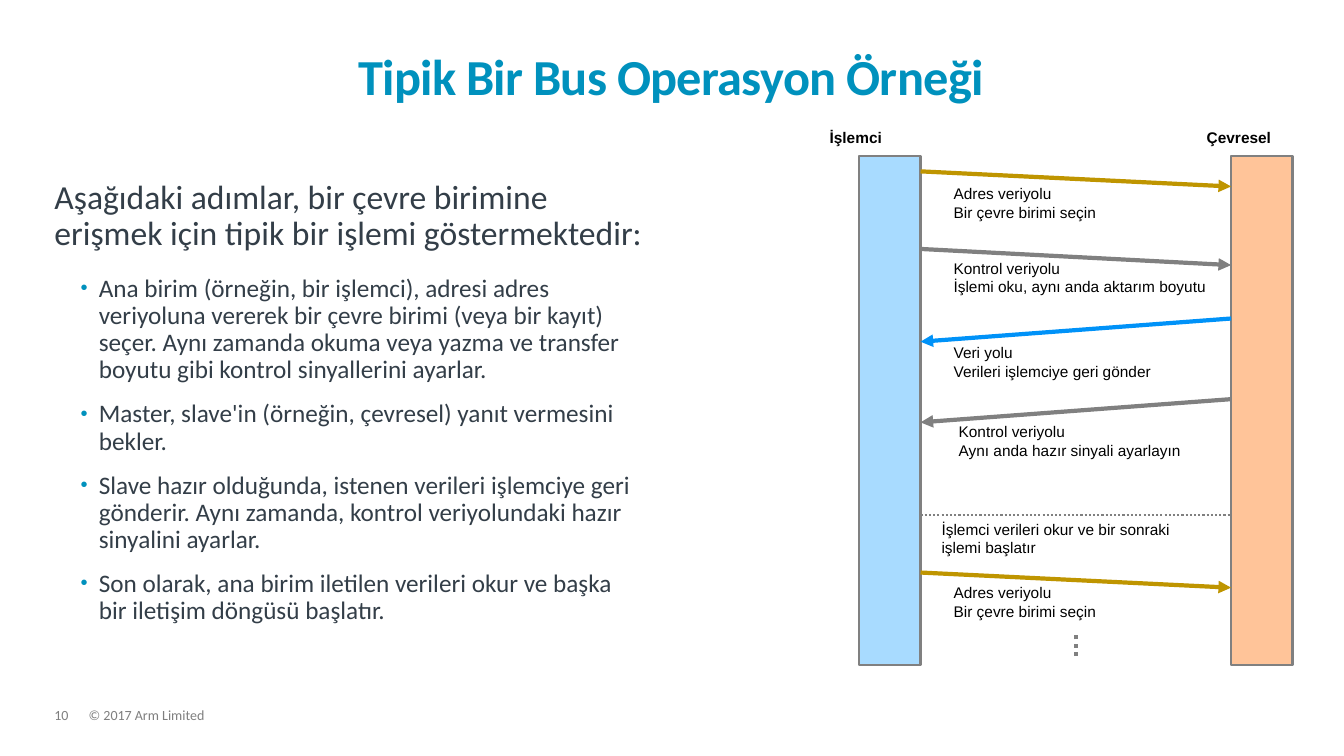
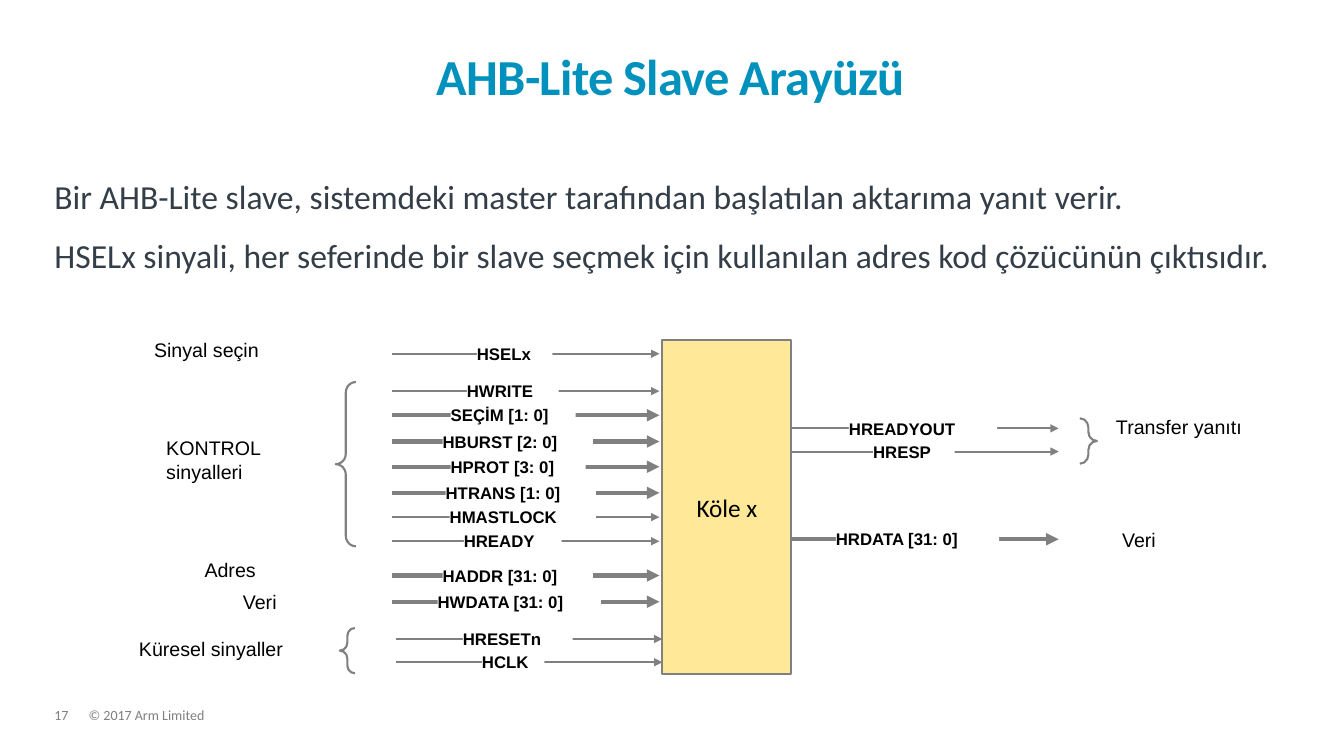
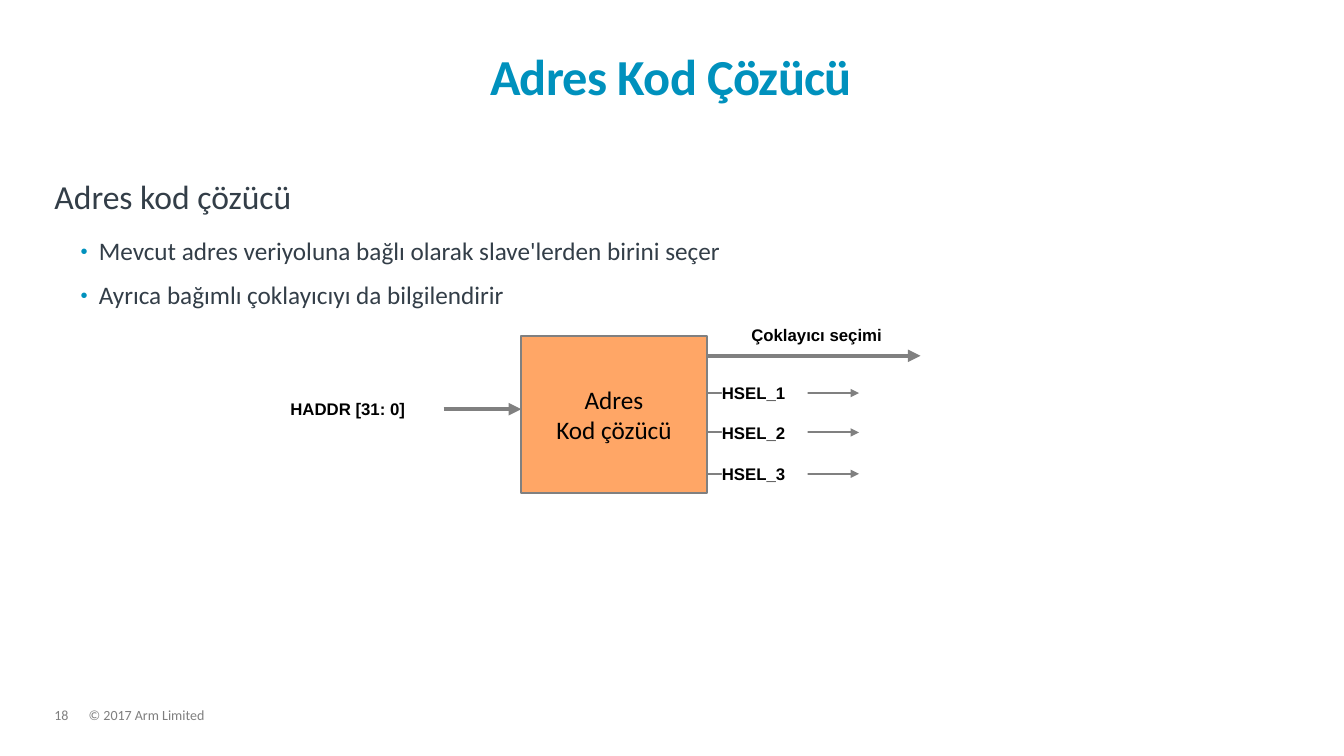
import pptx
import pptx.dml.color
import pptx.enum.dml
import pptx.enum.shapes
import pptx.enum.text
import pptx.oxml.ns
import pptx.util
from lxml import etree

Inches = pptx.util.Inches
Pt = pptx.util.Pt
qn = pptx.oxml.ns.qn
SHAPE = pptx.enum.shapes.MSO_SHAPE
ALIGN = pptx.enum.text.PP_ALIGN
ANCHOR = pptx.enum.text.MSO_ANCHOR

# Shared colours and fonts
TEAL, SLATE, GRAY, BLACK, WHITE = "0091BD", "333E48", "808080", "000000", "FFFFFF"
FOOTER_GRAY, GOLD, BLUE = "7F7F7F", "BF9500", "0092F8"
HEAD_FONT, LABEL_FONT = "Calibri", "Arial"
THIN, THICK = 1.5, 3


def rgb(value):
    return pptx.dml.color.RGBColor.from_string(value)


class Deck:
    def __init__(self):
        self.prs = pptx.Presentation()
        self.prs.slide_width = Inches(13.33)
        self.prs.slide_height = Inches(7.5)
        self.slide = None

    def new_slide(self, title, number):
        """Start a slide with its title and footer."""
        self.slide = self.prs.slides.add_slide(self.prs.slide_layouts[5])
        sp = self.slide.shapes.title
        sp.left, sp.top = Inches(0.54), Inches(0.32)
        sp.width, sp.height = Inches(12.23), Inches(0.73)
        tf = self.frame(sp, inset=0, anchor=ANCHOR.BOTTOM)
        p = tf.paragraphs[0]
        p.line_spacing = 0.85
        r = self.run(p, title, 36, HEAD_FONT, TEAL, bold=True)
        r.font._element.set("spc", "-50")
        for x, w, text in ((0.54, 0.34, str(number)), (0.88, 9.13, "© 2017 Arm Limited")):
            self.text(x, 7.03, w, 0.15, [text], 10, HEAD_FONT, FOOTER_GRAY,
                      inset=0, spacing=0.9)

    def frame(self, sp, inset=None, anchor=ANCHOR.TOP, wrap=True):
        tf = sp.text_frame
        tf.word_wrap = wrap
        tf.auto_size = pptx.enum.text.MSO_AUTO_SIZE.NONE
        tf.vertical_anchor = anchor
        if inset is not None:
            tf.margin_left = tf.margin_right = Inches(inset)
            tf.margin_top = tf.margin_bottom = Inches(inset)
        return tf

    def run(self, p, text, size, font, color, bold=False):
        r = p.add_run()
        r.text = text
        r.font.size, r.font.name, r.font.bold = Pt(size), font, bold
        r.font.color.rgb = rgb(color)
        return r

    def fill_lines(self, tf, lines, size, font, color=BLACK, bold=False,
                   align=ALIGN.LEFT, spacing=None):
        for i, line in enumerate(lines):
            p = tf.add_paragraph() if i else tf.paragraphs[0]
            p.alignment = align
            if spacing:
                p.line_spacing = spacing
            self.run(p, line, size, font, color, bold)

    def text(self, x, y, w, h, lines, size, font=LABEL_FONT, color=BLACK,
             bold=False, inset=None, spacing=None):
        sp = self.slide.shapes.add_textbox(Inches(x), Inches(y), Inches(w), Inches(h))
        self.fill_lines(self.frame(sp, inset), lines, size, font, color, bold,
                        spacing=spacing)

    def body(self, w, items):
        """Body text; items are (level, text), level 1 being bulleted."""
        sp = self.slide.shapes.add_textbox(Inches(0.54), Inches(1.79), Inches(w), Inches(4.47))
        tf = self.frame(sp, inset=0)
        for i, (level, text) in enumerate(items):
            p = tf.add_paragraph() if i else tf.paragraphs[0]
            if level:
                self.bullet(p)
            p.line_spacing = 0.9
            p.space_after = Pt(12 if level else 16)
            self.run(p, text, 18 if level else 24, HEAD_FONT, SLATE)

    def bullet(self, p):
        p.level = 1
        pPr = p._p.get_or_add_pPr()
        pPr.set("marL", str(Inches(0.44)))
        pPr.set("indent", str(Inches(-0.18)))
        color = etree.SubElement(pPr, qn("a:buClr"))
        etree.SubElement(color, qn("a:srgbClr"), val=TEAL)
        etree.SubElement(pPr, qn("a:buSzPct"), val="80000")
        etree.SubElement(pPr, qn("a:buFont"), typeface="Arial")
        etree.SubElement(pPr, qn("a:buChar"), char="•")

    def shape(self, kind, x, y, w, h, fill=None, outline=GRAY):
        sp = self.slide.shapes.add_shape(kind, Inches(x), Inches(y), Inches(w), Inches(h))
        sp.shadow.inherit = False
        if fill:
            sp.fill.solid()
            sp.fill.fore_color.rgb = rgb(fill)
        else:
            sp.fill.background()
        if outline:
            sp.line.color.rgb = rgb(outline)
            sp.line.width = Pt(THIN)
        else:
            sp.line.fill.background()
        return sp

    def block(self, x, y, w, h, fill, lines=()):
        sp = self.shape(SHAPE.RECTANGLE, x, y, w, h, fill)
        tf = self.frame(sp, anchor=ANCHOR.MIDDLE, wrap=False)
        self.fill_lines(tf, lines, 18, HEAD_FONT, align=ALIGN.CENTER)

    def label(self, x, y, w, text, align=ALIGN.LEFT):
        """Signal name on a white patch that interrupts its line."""
        sp = self.shape(SHAPE.RECTANGLE, x, y, w, 0.2, WHITE, outline=None)
        self.fill_lines(self.frame(sp, inset=0), [text], 12, LABEL_FONT,
                        bold=True, align=align)
        return sp

    def brace(self, kind, x, y, w, h):
        sp = self.shape(kind, x, y, w, h)
        sp.adjustments[0] = 0.52

    def line(self, x1, y1, x2, y2, color=GRAY, width=THIN, arrow=True, dotted=False):
        cx = self.slide.shapes.add_connector(
            pptx.enum.shapes.MSO_CONNECTOR.STRAIGHT,
            Inches(x1), Inches(y1), Inches(x2), Inches(y2))
        cx.line.color.rgb = rgb(color)
        cx.line.width = Pt(width)
        if dotted:
            cx.line.dash_style = pptx.enum.dml.MSO_LINE.ROUND_DOT
        if arrow:
            etree.SubElement(cx.line._get_or_add_ln(), qn("a:tailEnd"), type="triangle")
        etree.SubElement(cx._element.spPr, qn("a:effectLst"))
        return cx

    def signal(self, x1, x2, y, width, label_x, label_w, name):
        self.line(x1, y, x2, y, width=width)
        self.label(label_x, y - 0.1, label_w, name)


def bus_operation(deck):
    deck.new_slide("Tipik Bir Bus Operasyon Örneği", 10)
    deck.body(5.85, [
        (0, "Aşağıdaki adımlar, bir çevre birimine erişmek için tipik bir işlemi göstermektedir:"),
        (1, "Ana birim (örneğin, bir işlemci), adresi adres veriyoluna vererek bir çevre birimi "
            "(veya bir kayıt) seçer. Aynı zamanda okuma veya yazma ve transfer boyutu gibi "
            "kontrol sinyallerini ayarlar."),
        (1, "Master, slave'in (örneğin, çevresel) yanıt vermesini bekler."),
        (1, "Slave hazır olduğunda, istenen verileri işlemciye geri gönderir. Aynı zamanda, "
            "kontrol veriyolundaki hazır sinyalini ayarlar."),
        (1, "Son olarak, ana birim iletilen verileri okur ve başka bir iletişim döngüsü başlatır."),
    ])

    # Lifelines of processor and peripheral
    for x, fill, name_x, name in ((8.52, "A8DBFF", 8.13, "İşlemci"),
                                  (12.21, "FFC499", 11.87, "Çevresel")):
        deck.block(x, 1.55, 0.61, 5.05, fill)
        deck.text(name_x, 1.22, 1.53, 0.29, [name], 11, bold=True)

    # Messages: start and end height, colour, caption
    left, right = 9.13, 12.21
    address = ["Adres veriyolu", "Bir çevre birimi seçin"]
    messages = [
        (left, 1.7, right, 1.85, GOLD, 9.36, 1.78, address),
        (left, 2.47, right, 2.63, GRAY, 9.36, 2.52,
         ["Kontrol veriyolu", "İşlemi oku, aynı anda aktarım boyutu"]),
        (right, 3.16, left, 3.39, BLUE, 9.36, 3.36,
         ["Veri yolu", "Verileri işlemciye geri gönder"]),
        (right, 3.96, left, 4.19, GRAY, 9.41, 4.14,
         ["Kontrol veriyolu", "Aynı anda hazır sinyali ayarlayın"]),
        (left, 5.68, right, 5.83, GOLD, 9.36, 5.74, address),
    ]
    for x1, y1, x2, y2, color, text_x, text_y, caption in messages:
        deck.line(x1, y1, x2, y2, color, THICK)
        deck.text(text_x, text_y, 2.74, 0.47, caption, 11)

    # Next cycle
    deck.line(left, 5.11, right, 5.11, arrow=False, dotted=True)
    deck.text(9.24, 5.11, 2.85, 0.47,
              ["İşlemci verileri okur ve bir sonraki işlemi başlatır"], 11)
    deck.line(10.67, 6.51, 10.67, 6.3, width=THICK, arrow=False, dotted=True)


def slave_interface(deck):
    deck.new_slide("AHB-Lite Slave Arayüzü", 17)
    deck.body(12.23, [
        (0, "Bir AHB-Lite slave, sistemdeki master tarafından başlatılan aktarıma yanıt verir."),
        (0, "HSELx sinyali, her seferinde bir slave seçmek için kullanılan adres kod "
            "çözücünün çıktısıdır."),
    ])
    deck.block(6.57, 3.37, 1.28, 3.32, "FFE999", ["Köle x"])

    # Signals by group: line start, line end, then height, weight, label place, name
    groups = [
        (3.89, 6.54, [
            (3.51, THIN, 4.73, 0.75, "HSELx"),
            (3.88, THIN, 4.63, 0.91, "HWRITE"),
            (4.12, THICK, 4.47, 1.24, "SEÇİM [1: 0]"),
            (4.38, THICK, 4.39, 1.49, "HBURST [2: 0]"),
            (4.63, THICK, 4.47, 1.34, "HPROT [3: 0]"),
            (4.89, THICK, 4.42, 1.49, "HTRANS [1: 0]"),
            (5.13, THIN, 4.46, 1.45, "HMASTLOCK"),
            (5.37, THIN, 4.6, 0.97, "HREADY"),
            (5.71, THICK, 4.39, 1.49, "HADDR [31: 0]"),
            (5.97, THICK, 4.34, 1.62, "HWDATA [31: 0]"),
        ]),
        (3.93, 6.57, [
            (6.34, THIN, 4.59, 1.09, "HRESETn"),
            (6.57, THIN, 4.78, 0.62, "HCLK"),
        ]),
        (7.85, 10.5, [
            (4.25, THIN, 8.42, 1.47, "HREADYOUT"),
            (4.48, THIN, 8.66, 0.81, "HRESP"),
            (5.35, THICK, 8.29, 1.62, "HRDATA [31: 0]"),
        ]),
    ]
    for x1, x2, signals in groups:
        for signal in signals:
            deck.signal(x1, x2, *signal)

    # Group names and braces
    for x, y, w, name in (
            (1.43, 3.3, 2.36, "Sinyal seçin"),
            (1.55, 4.28, 1.61, "KONTROL sinyalleri"),
            (1.93, 5.49, 1.61, "Adres"),
            (2.31, 5.8, 1.01, "Veri"),
            (1.28, 6.27, 2.36, "Küresel sinyaller"),
            (10.97, 4.07, 1.61, "Transfer yanıtı"),
            (11.03, 5.19, 1.01, "Veri")):
        deck.text(x, y, w, 0.34, [name], 14)
    deck.brace(SHAPE.LEFT_BRACE, 3.33, 3.79, 0.2, 1.63)
    deck.brace(SHAPE.LEFT_BRACE, 3.37, 6.23, 0.15, 0.45)
    deck.brace(SHAPE.RIGHT_BRACE, 10.71, 4.15, 0.17, 0.45)


def address_decoder(deck):
    deck.new_slide("Adres Kod Çözücü", 18)
    deck.body(12.23, [
        (0, "Adres kod çözücü"),
        (1, "Mevcut adres veriyoluna bağlı olarak slave'lerden birini seçer"),
        (1, "Ayrıca bağımlı çoklayıcıyı da bilgilendirir"),
    ])

    # Address input
    haddr = deck.label(2.88, 3.96, 1.52, "HADDR [31: 0]")
    cx = deck.line(4.4, 4.06, 5.17, 4.06, width=THICK)
    cx.begin_connect(haddr, 3)

    # Select outputs
    deck.label(6.9, 3.22, 2.4, "Çoklayıcı seçimi", ALIGN.CENTER)
    for i, y in enumerate((3.9, 4.29, 4.7), 1):
        deck.signal(7.01, 8.52, y, THIN, 7.16, 0.85, f"HSEL_{i}")
    deck.block(5.17, 3.33, 1.84, 1.56, "FFA666", ["Adres", "Kod çözücü"])
    deck.line(7.01, 3.53, 9.13, 3.53, width=THICK)


def main():
    deck = Deck()
    bus_operation(deck)
    slave_interface(deck)
    address_decoder(deck)
    deck.prs.save("out.pptx")


if __name__ == "__main__":
    main()
